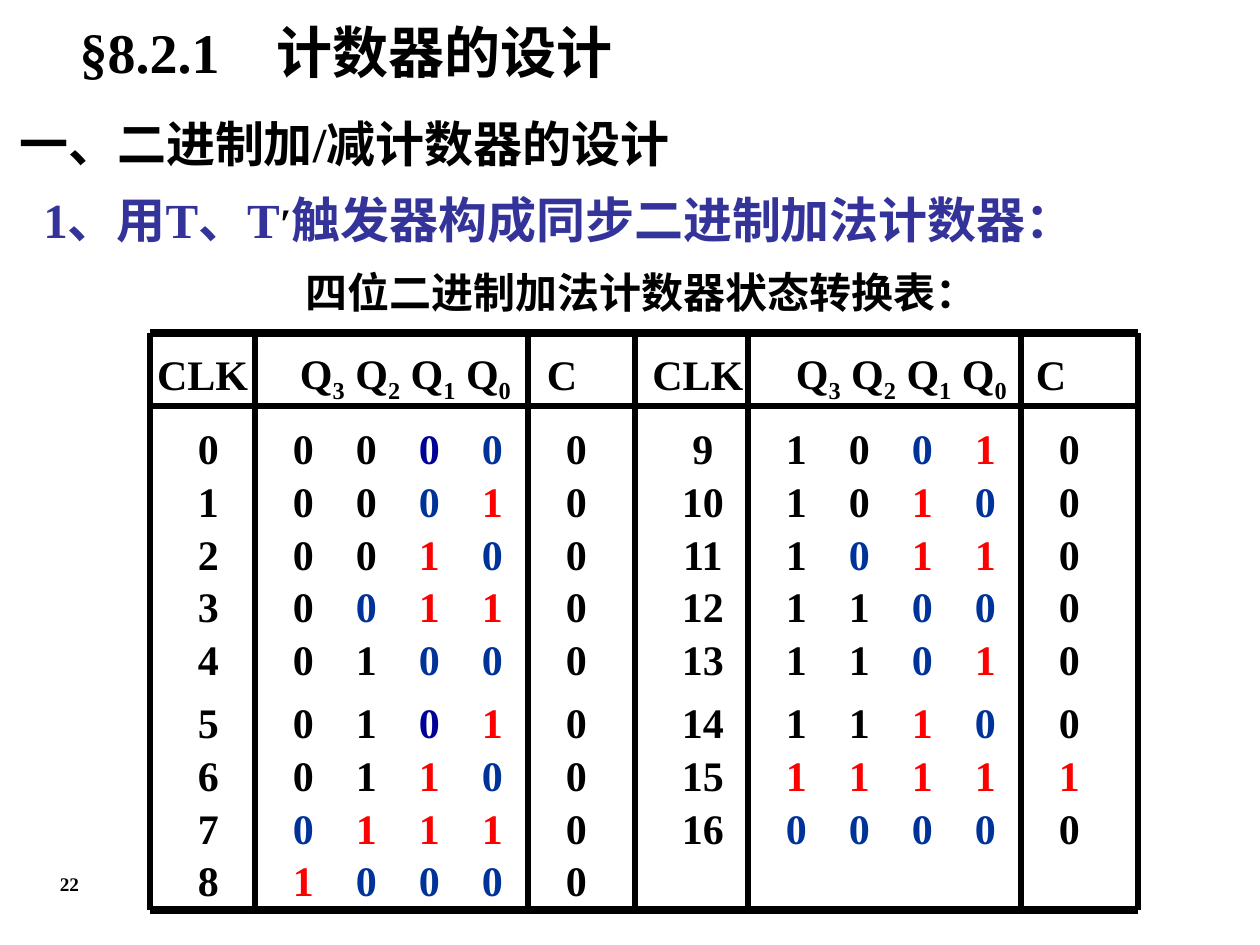
from itertools import accumulate

from lxml import etree
from pptx import Presentation
from pptx.dml.color import RGBColor
from pptx.enum.shapes import MSO_CONNECTOR as CONNECTOR
from pptx.enum.text import MSO_ANCHOR as ANCHOR, MSO_AUTO_SIZE as AUTO, PP_ALIGN as ALIGN
from pptx.oxml.ns import qn
from pptx.util import Emu, Pt

PX = 914400 // 126
FONT = "Times New Roman"
BLACK, RED, BLUE, NAVY, INDIGO = "000000", "FF0000", "003399", "000099", "333399"

# State table: column and row sizes, all in px
COLS = [105, 273, 107, 113, 273, 117]
ROWS = [73, 70, 52, 53, 52, 53, 63, 52, 53, 52]
TABLE_HEIGHT = 577
DIGIT_STEP = 63
# Index of the first coloured bit; other counts start at bit 2
FIRST_COLOURED = {3: 1, 11: 1, 7: 0, 8: 0, 15: 0, 16: 0}


def px(n):
    return Emu(n * PX)


def rgb(value):
    return RGBColor.from_string(value)


def add_run(p, text, size=24, color=BLACK, baseline=0):
    r = p.add_run()
    r.text = text
    r.font.name, r.font.size, r.font.bold = FONT, Pt(size), True
    r.font.color.rgb = rgb(color)
    if baseline:
        r.font._element.set("baseline", str(baseline * 1000))


def add_tabs(p, stops):
    tabs = etree.SubElement(p._p.get_or_add_pPr(), qn("a:tabLst"))
    for stop in stops:
        etree.SubElement(tabs, qn("a:tab"), pos=str(px(stop)), algn="l")


def add_title(slide, box):
    title = slide.shapes.title
    title.left, title.top, title.width, title.height = map(px, box)
    tf = title.text_frame
    tf.auto_size, tf.vertical_anchor = AUTO.NONE, ANCHOR.TOP
    p = tf.paragraphs[0]
    p.alignment = ALIGN.LEFT
    add_tabs(p, [197])
    add_run(p, "§8.2.1\t计数器的设计", 32)


def add_text(slide, box, runs, align=ALIGN.LEFT, anchor=ANCHOR.TOP, wrap=True):
    tf = slide.shapes.add_textbox(*map(px, box)).text_frame
    tf.word_wrap, tf.vertical_anchor = wrap, anchor
    p = tf.paragraphs[0]
    p.alignment = align
    for text, size, color in runs:
        add_run(p, text, size, color)


def add_rule(slide, x1, y1, x2, y2, width=3):
    line = slide.shapes.add_connector(CONNECTOR.STRAIGHT, *map(px, (x1, y1, x2, y2)))
    line.line.color.rgb = rgb(BLACK)
    line.line.width = Pt(width)
    etree.SubElement(line._element.spPr, qn("a:effectLst"))


def start_cell(cell, left, bottom=2, align=ALIGN.LEFT):
    cell.margin_left, cell.margin_bottom = px(left), px(bottom)
    p = cell.text_frame.paragraphs[0]
    p.alignment = align
    return p


def fill_header(clk, state, carry, clk_left, state_left, carry_left):
    add_run(start_cell(clk, clk_left, 6, ALIGN.CENTER), "CLK")
    p = start_cell(state, state_left, 1)
    for i in (3, 2, 1, 0):
        add_run(p, "Q" if i == 3 else " Q")
        add_run(p, str(i), baseline=-25)
    add_run(start_cell(carry, carry_left, 6), "C")


def fill_count(clk, state, carry, clk_left, count):
    add_run(start_cell(clk, clk_left, align=ALIGN.CENTER), str(count))
    p = start_cell(state, 38)
    add_tabs(p, [DIGIT_STEP * i for i in (1, 2, 3)])
    for i, bit in enumerate(f"{count % 16:04b}"):
        color = BLACK
        if i >= FIRST_COLOURED.get(count, 2):
            color = RED if bit == "1" else BLUE
        if i == 2 and count in (0, 5):
            color = NAVY
        add_run(p, "\t" + bit if i else bit, color=color)
    full = count == 15
    add_run(start_cell(carry, 38), str(int(full)), color=RED if full else BLACK)


def add_state_table(slide, left, top):
    frame = slide.shapes.add_table(len(ROWS), len(COLS), px(left), px(top),
                                   px(sum(COLS)), px(sum(ROWS)))
    table = frame.table
    table.first_row = table.horz_banding = False
    for col, width in zip(table.columns, COLS):
        col.width = px(width)
    for i, (row, height) in enumerate(zip(table.rows, ROWS)):
        row.height = px(height)
        cells = list(row.cells)
        for cell in cells:
            cell.margin_left = cell.margin_right = 0
            cell.margin_top = cell.margin_bottom = 0
            cell.vertical_anchor = ANCHOR.BOTTOM
            cell.fill.background()
        # Left half counts 0 to 8, right half 9 to 16
        if i == 0:
            fill_header(*cells[:3], 0, 45, 19)
            fill_header(*cells[3:], 13, 48, 15)
            continue
        fill_count(*cells[:3], 12, i - 1)
        if i + 8 <= 16:
            fill_count(*cells[3:], 23, i + 8)

    # Ruling: heavy top and bottom, thin below the header and between columns
    right, bottom = left + sum(COLS), top + TABLE_HEIGHT
    for y, width in ((top, 4.5), (top + ROWS[0], 3), (bottom, 4.5)):
        add_rule(slide, left, y, right, y, width)
    for x in accumulate(COLS, initial=left):
        add_rule(slide, x, top, x, bottom)


def main():
    prs = Presentation()
    prs.slide_width, prs.slide_height = px(1260), px(945)
    slide = prs.slides.add_slide(prs.slide_layouts[5])

    # Headings
    add_title(slide, (67, 11, 959, 81))
    add_text(slide, (7, 107, 1239, 72), [("一、二进制加/减计数器的设计", 28, BLACK)])
    add_text(slide, (31, 183, 1239, 72), [
        ("1、用T、T", 28, INDIGO),
        ("′", 24, BLACK),
        ("触发器构成同步二进制加法计数器：", 28, INDIGO),
    ])

    # State table with its caption
    add_text(slide, (293, 260, 701, 63), [("四位二进制加法计数器状态转换表：", 24, BLACK)],
             anchor=ANCHOR.MIDDLE, wrap=False)
    add_state_table(slide, 150, 333)

    # Page number
    add_text(slide, (7, 866, 125, 47), [("22", 11, BLACK)], ALIGN.CENTER)
    prs.save("out.pptx")


if __name__ == "__main__":
    main()
